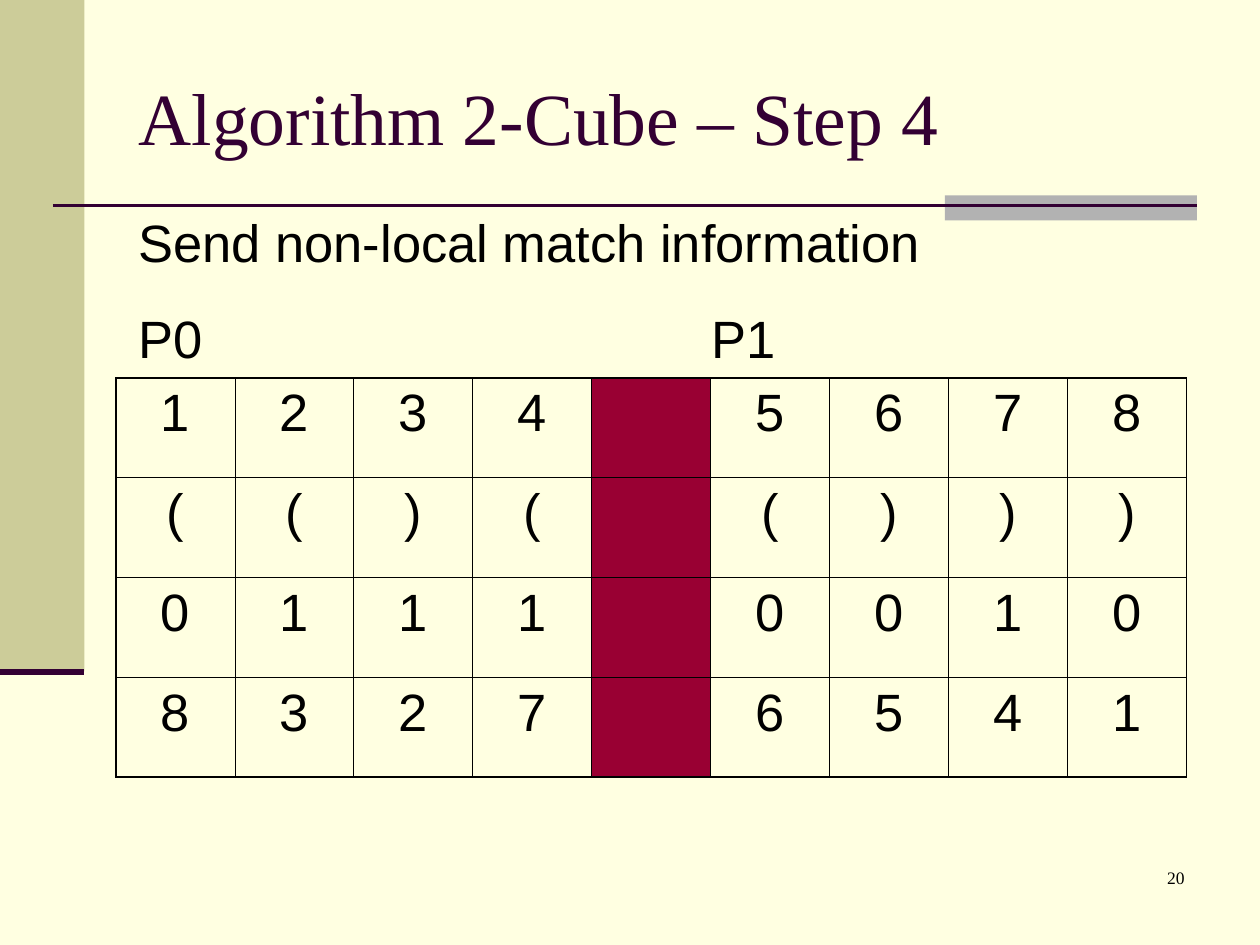
from lxml.etree import SubElement
from pptx import Presentation
from pptx.dml.color import RGBColor
from pptx.enum.shapes import MSO_CONNECTOR, MSO_SHAPE
from pptx.enum.text import MSO_ANCHOR, MSO_AUTO_SIZE, PP_ALIGN
from pptx.oxml.ns import qn
from pptx.util import Inches, Pt

COLORS = {"cream": "FFFFE1", "olive": "CCCC99", "gray": "B2B2B2",
          "plum": "330033", "maroon": "990033", "black": "000000"}
FORMATS = {
    "title": {"size": Pt(42), "name": "Times New Roman", "color": "plum"},
    "body": {"size": Pt(30), "name": "Arial", "color": "black"},
    "number": {"size": Pt(10), "name": "Times New Roman", "color": "black"},
}
ROWS = ["1234 5678", "(()( ()))", "0111 0010", "8327 6541"]


def rgb(name):
    """Return the named colour."""
    return RGBColor.from_string(COLORS[name])


def write(p, text, style, align=PP_ALIGN.LEFT, before=0):
    """Write one formatted run into a paragraph."""
    p.alignment, p.space_before = align, Pt(before)
    r = p.add_run()
    r.text = text
    for key, value in FORMATS[style].items():
        if key == "color":
            r.font.color.rgb = rgb(value)
        else:
            setattr(r.font, key, value)


def add_bar(s, box, color):
    """Add a plain filled rectangle."""
    sp = s.shapes.add_shape(MSO_SHAPE.RECTANGLE, *map(Inches, box))
    sp.shadow.inherit = False
    sp.fill.solid()
    sp.fill.fore_color.rgb = rgb(color)
    sp.line.fill.background()


def add_rule(s, left, right, y, width):
    """Add a horizontal plum line."""
    sp = s.shapes.add_connector(MSO_CONNECTOR.STRAIGHT, Inches(left), Inches(y),
                                Inches(right), Inches(y))
    sp.line.color.rgb, sp.line.width = rgb("plum"), Pt(width)
    SubElement(sp._element.spPr, qn("a:effectLst"))


def add_decoration(s):
    """Add the sidebar, the title accent and their rules."""
    add_bar(s, (0, 0, 0.67, 5.33), "olive")
    add_bar(s, (7.5, 1.55, 2, 0.2), "gray")
    add_rule(s, 0.42, 9.5, 1.63, 1.5)
    add_rule(s, 0, 0.67, 5.33, 3.5)


def add_title(s, box, text):
    """Place and format the title placeholder."""
    sp = s.shapes.title
    sp.left, sp.top, sp.width, sp.height = map(Inches, box)
    tf = sp.text_frame
    tf.auto_size, tf.vertical_anchor = MSO_AUTO_SIZE.NONE, MSO_ANCHOR.MIDDLE
    write(tf.paragraphs[0], text, "title")


def add_text_frame(s, box):
    """Add a wrapping text box and return its text frame."""
    tf = s.shapes.add_textbox(*map(Inches, box)).text_frame
    tf.word_wrap = True
    return tf


def add_intro(s, box, text, labels, tab):
    """Add the step description and the tabbed processor labels."""
    tf = add_text_frame(s, box)
    write(tf.paragraphs[0], text, "body", before=18.7)
    p = tf.add_paragraph()
    write(p, "\t".join(labels), "body", before=18.7)
    tabs = SubElement(p._p.get_or_add_pPr(), qn("a:tabLst"))
    SubElement(tabs, qn("a:tab"), pos=str(Inches(tab)), algn="l")


def set_borders(cell, edges):
    """Draw the cell borders, thicker on the outer edges of the table."""
    tcPr = cell._tc.get_or_add_tcPr()
    for side, outer in edges.items():
        ln = SubElement(tcPr, qn(f"a:ln{side}"), w=str(Pt(1.08 if outer else 0.45)))
        fill = SubElement(ln, qn("a:solidFill"))
        SubElement(fill, qn("a:srgbClr"), val=COLORS["black"])


def add_match_table(s, box, rows):
    """Add the match table, with a filled column where a row has a gap."""
    n_rows, n_cols = len(rows), len(rows[0])
    table = s.shapes.add_table(n_rows, n_cols, *map(Inches, box)).table
    table.first_row = table.horz_banding = False
    for i, row in enumerate(rows):
        for j, text in enumerate(row):
            cell = table.cell(i, j)
            set_borders(cell, {"L": j == 0, "R": j == n_cols - 1,
                               "T": i == 0, "B": i == n_rows - 1})
            if text == " ":
                cell.fill.solid()
                cell.fill.fore_color.rgb = rgb("maroon")
            else:
                cell.fill.background()
                write(cell.text_frame.paragraphs[0], text, "body", PP_ALIGN.CENTER, 7.5)


def add_page_number(s, box, number):
    """Add the right-aligned page number."""
    tf = add_text_frame(s, box)
    write(tf.paragraphs[0], number, "number", PP_ALIGN.RIGHT)


def main():
    """Build and save the slide."""
    prs = Presentation()
    prs.slide_width, prs.slide_height = Inches(10), Inches(7.5)
    s = prs.slides.add_slide(prs.slide_layouts[5])
    s.background.fill.solid()
    s.background.fill.fore_color.rgb = rgb("cream")
    add_decoration(s)
    add_title(s, (1, 0.3, 8.5, 1.25), "Algorithm 2-Cube – Step 4")
    add_match_table(s, (0.92, 3, 8.5, 3.17), ROWS)
    add_intro(s, (1, 1.62, 7.92, 1.36), "Send non-local match information",
              ("P0", "P1"), 4.55)
    add_page_number(s, (7.42, 6.83, 2.08, 0.5), "20")
    prs.save("out.pptx")


if __name__ == "__main__":
    main()
